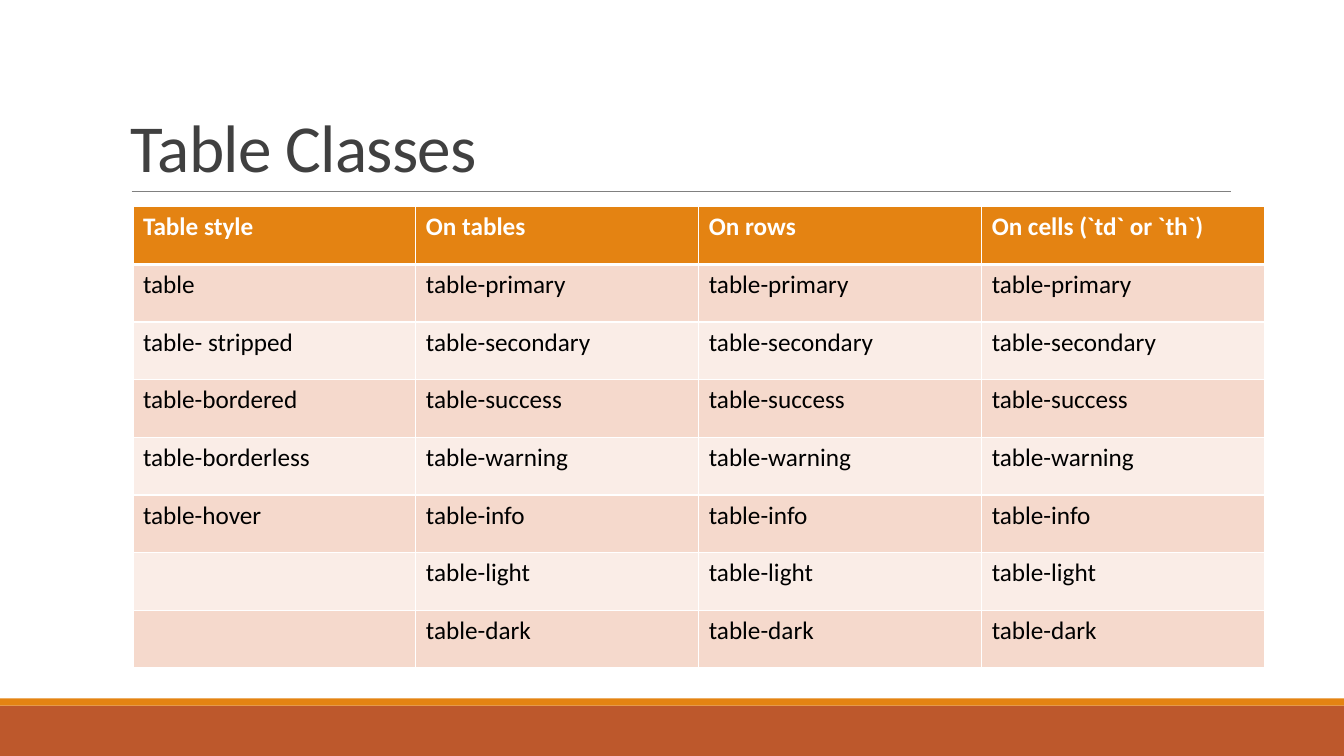
"""Build the Table Classes slide."""
from dataclasses import dataclass

import lxml.etree
import pptx
import pptx.dml.color
import pptx.enum.shapes
import pptx.enum.text
import pptx.oxml.ns
import pptx.slide
import pptx.table
import pptx.text.text
import pptx.util

Cm = pptx.util.Cm
Pt = pptx.util.Pt
qn = pptx.oxml.ns.qn

FONT = "Calibri"
COLORS = {
    "rust": "BD582C",
    "orange": "E48312",
    "rule": "808080",
    "title": "404040",
    "white": "FFFFFF",
    "black": "000000",
    "band_dark": "F5D9CC",
    "band_light": "FAEDE7",
}
HEADERS = ["Table style", "On tables", "On rows", "On cells (`td` or `th`)"]
STYLES = ["table", "table- stripped", "table-bordered", "table-borderless", "table-hover", "", ""]
VARIANTS = ["primary", "secondary", "success", "warning", "info", "light", "dark"]


@dataclass
class Bar:
    top: float
    height: float
    color: str


@dataclass
class RowStyle:
    fill: str
    text: str
    bold: bool
    top_pt: float
    bottom_pt: float


BARS = [Bar(17.78, 1.27, "rust"), Bar(17.6, 0.18, "orange")]


def rgb(name: str) -> pptx.dml.color.RGBColor:
    return pptx.dml.color.RGBColor.from_string(COLORS[name])


def add_run(p: pptx.text.text._Paragraph, text: str, size: float, color: str,
            bold: bool = False) -> pptx.text.text._Run:
    r = p.add_run()
    r.text = text
    r.font.name = FONT
    r.font.size = Pt(size)
    r.font.bold = bold
    r.font.color.rgb = rgb(color)
    return r


def add_bar(s: pptx.slide.Slide, bar: Bar, width: int) -> None:
    sp = s.shapes.add_shape(pptx.enum.shapes.MSO_SHAPE.RECTANGLE,
                            0, Cm(bar.top), width, Cm(bar.height))
    sp.shadow.inherit = False
    sp.fill.solid()
    sp.fill.fore_color.rgb = rgb(bar.color)
    sp.line.fill.background()


def add_rule(s: pptx.slide.Slide) -> None:
    line = s.shapes.add_connector(pptx.enum.shapes.MSO_CONNECTOR.STRAIGHT,
                                  Cm(3.32), Cm(4.82), Cm(31.01), Cm(4.82))
    line.line.color.rgb = rgb("rule")
    line.line.width = Pt(0.5)
    lxml.etree.SubElement(line._element.spPr, qn("a:effectLst"))


def add_title(s: pptx.slide.Slide) -> None:
    sp = s.shapes.add_textbox(Cm(3.05), Cm(0.78), Cm(27.94), Cm(4.03))
    tf = sp.text_frame
    tf.word_wrap = True
    tf.vertical_anchor = pptx.enum.text.MSO_ANCHOR.BOTTOM
    p = tf.paragraphs[0]
    p.line_spacing = 0.85
    r = add_run(p, "Table Classes", 48, "title")
    r._r.get_or_add_rPr().set("spc", "-50")


def add_border(cell: pptx.table._Cell, side: str, width: float) -> None:
    ln = lxml.etree.SubElement(cell._tc.get_or_add_tcPr(), qn(f"a:ln{side}"), w=str(Pt(width)))
    fill = lxml.etree.SubElement(ln, qn("a:solidFill"))
    lxml.etree.SubElement(fill, qn("a:srgbClr"), val=COLORS["white"])


def style_cell(cell: pptx.table._Cell, text: str, style: RowStyle) -> None:
    widths = {"L": 1, "R": 1, "T": style.top_pt, "B": style.bottom_pt}
    for side, width in widths.items():
        add_border(cell, side, width)
    cell.fill.solid()
    cell.fill.fore_color.rgb = rgb(style.fill)
    if text:
        add_run(cell.text_frame.paragraphs[0], text, 18, style.text, style.bold)


def row_style(index: int) -> RowStyle:
    if index == 0:
        return RowStyle("orange", "white", True, 1, 3)
    band = "band_dark" if index % 2 else "band_light"
    return RowStyle(band, "black", False, 3 if index == 1 else 1, 1)


def add_class_table(s: pptx.slide.Slide) -> None:
    rows = [HEADERS] + [[name] + [f"table-{variant}"] * 3
                        for name, variant in zip(STYLES, VARIANTS)]
    frame = s.shapes.add_table(len(rows), len(HEADERS),
                               Cm(3.35), Cm(5.21), Cm(28.52), Cm(11.63))
    for i, texts in enumerate(rows):
        for j, text in enumerate(texts):
            style_cell(frame.table.cell(i, j), text, row_style(i))


def main() -> None:
    prs = pptx.Presentation()
    prs.slide_width, prs.slide_height = Cm(33.87), Cm(19.05)
    s = prs.slides.add_slide(prs.slide_layouts[6])
    for bar in BARS:
        add_bar(s, bar, prs.slide_width)
    add_rule(s)
    add_title(s)
    add_class_table(s)
    prs.save("out.pptx")


if __name__ == "__main__":
    main()
